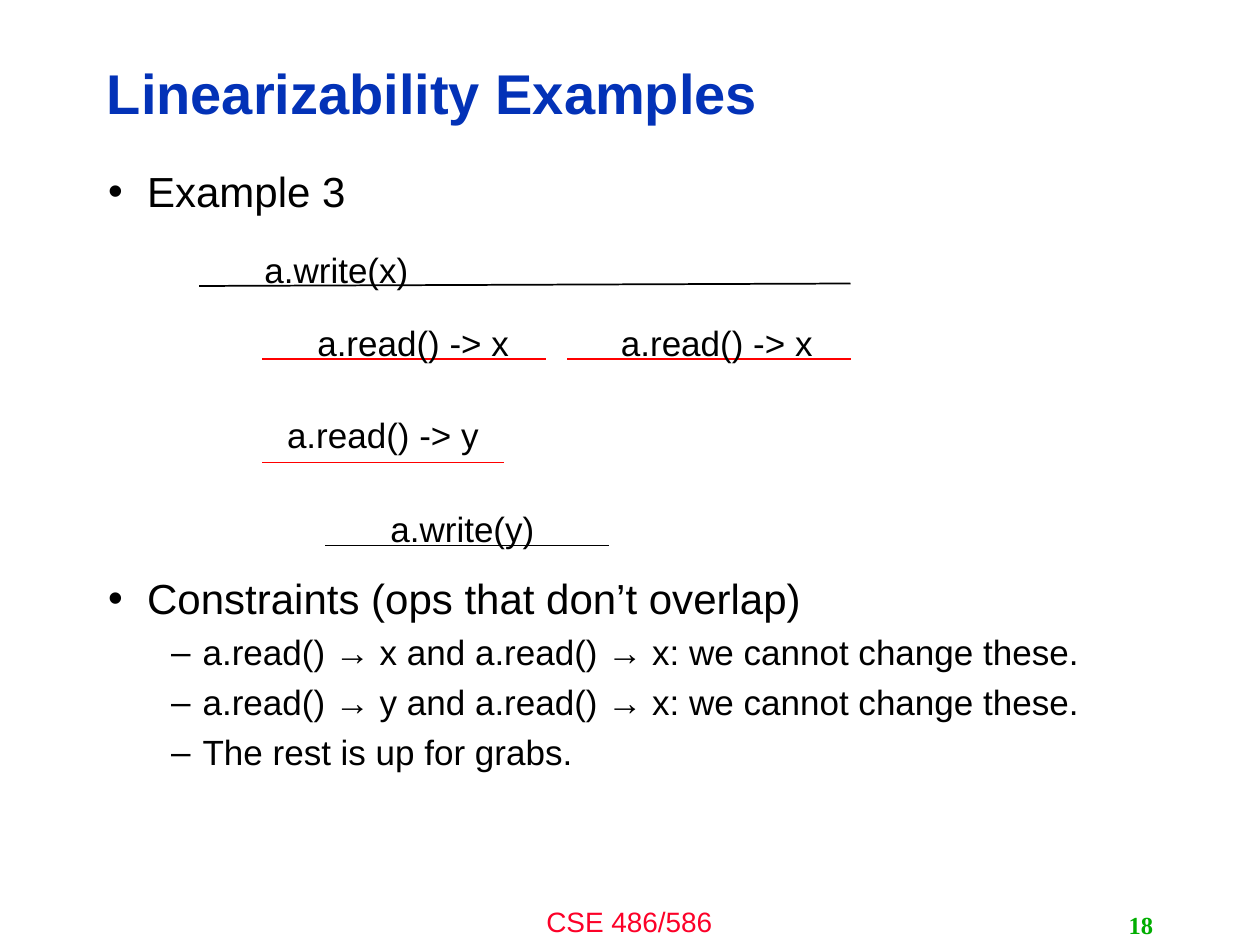
from lxml.etree import SubElement
from pptx import Presentation
from pptx.dml.color import RGBColor
from pptx.enum.shapes import MSO_CONNECTOR
from pptx.enum.text import MSO_ANCHOR, PP_ALIGN
from pptx.oxml.ns import qn
from pptx.util import Emu, Pt

EMU_PER_PX = 9144  # 100 px to the inch
BLACK = RGBColor(0x00, 0x00, 0x00)
RED = RGBColor(0xFF, 0x00, 0x00)
TITLE_BLUE = RGBColor(0x03, 0x32, 0xB7)
FOOTER_RED = RGBColor(0xFC, 0x01, 0x28)
NUMBER_GREEN = RGBColor(0x00, 0xAE, 0x00)


def px(length):
    return Emu(length * EMU_PER_PX)


def write(paragraph, text, size=20, color=BLACK, bold=False, font="Arial",
          align=PP_ALIGN.LEFT, line_spacing=None, space_before=0):
    run = paragraph.add_run()
    run.text = text
    run.font.name = font
    run.font.size = Pt(size)
    run.font.bold = bold
    run.font.color.rgb = color
    paragraph.alignment = align
    paragraph.space_before = Pt(space_before)
    if line_spacing:
        paragraph.line_spacing = line_spacing


def set_bullet(paragraph, mark, left, hanging):
    properties = paragraph._p.get_or_add_pPr()
    properties.set("marL", str(px(left)))
    properties.set("indent", str(px(-hanging)))
    SubElement(properties, qn("a:buFont"), typeface="Arial")
    SubElement(properties, qn("a:buChar"), char=mark)


class SlideBuilder:
    def __init__(self, slide):
        self.slide = slide

    def frame(self, left, top, width, height, anchor=MSO_ANCHOR.TOP, wrap=True):
        box = self.slide.shapes.add_textbox(px(left), px(top), px(width), px(height))
        frame = box.text_frame
        frame.word_wrap = wrap
        frame.vertical_anchor = anchor
        return frame

    def label(self, text, left, top, width, height,
              anchor=MSO_ANCHOR.TOP, wrap=True, **style):
        frame = self.frame(left, top, width, height, anchor, wrap)
        write(frame.paragraphs[0], text, **style)

    def bullets(self, items, left, top, width, height):
        """Each item is (level, text, space before in points)."""
        frame = self.frame(left, top, width, height)
        levels = [("•", 31, 31, 24), ("–", 75, 25, 20)]
        for index, (level, text, gap) in enumerate(items):
            paragraph = frame.add_paragraph() if index else frame.paragraphs[0]
            mark, indent, hanging, size = levels[level]
            paragraph.level = level
            write(paragraph, text, size=size, line_spacing=0.9, space_before=gap)
            set_bullet(paragraph, mark, indent, hanging)

    def line(self, start, end, color):
        line = self.slide.shapes.add_connector(
            MSO_CONNECTOR.STRAIGHT, *map(px, start + end))
        line.line.color.rgb = color
        line.line.width = Pt(1)
        SubElement(line._element.spPr, qn("a:effectLst"))

    def operation(self, text, text_at, start, end, color):
        """An operation's name over the line that spans its duration."""
        self.line(start, end, color)
        width = 174 if "read" in text else 136
        self.label(text, *text_at, width, 44, wrap=False)


def main():
    presentation = Presentation()
    presentation.slide_width = px(1000)
    presentation.slide_height = px(750)
    builder = SlideBuilder(
        presentation.slides.add_slide(presentation.slide_layouts[6]))

    builder.label("CSE 486/586", 333, 713, 333, 37, size=16,
                  color=FOOTER_RED, align=PP_ALIGN.CENTER)
    builder.label("Linearizability Examples", 75, 36, 798, 81,
                  anchor=MSO_ANCHOR.MIDDLE, size=32, color=TITLE_BLUE,
                  bold=True, line_spacing=0.9)
    # The gap before the constraints leaves room for the timeline.
    builder.bullets([
        (0, "Example 3", 0),
        (0, "Constraints (ops that don’t overlap)", 206.6),
        (1, "a.read() → x and a.read() → x: we cannot change these.", 6.9),
        (1, "a.read() → y and a.read() → x: we cannot change these.", 6.9),
        (1, "The rest is up for grabs.", 6.9),
    ], 76, 131, 840, 539)
    builder.label("18", 717, 718, 208, 32, anchor=MSO_ANCHOR.MIDDLE, size=14,
                  color=NUMBER_GREEN, bold=True, font="Times New Roman",
                  align=PP_ALIGN.RIGHT)

    operations = [
        ("a.write(x)", (200, 192), (158, 227), (675, 225), BLACK),
        ("a.read() -> x", (242, 250), (208, 285), (433, 285), RED),
        ("a.read() -> x", (483, 250), (450, 285), (675, 285), RED),
        ("a.read() -> y", (218, 323), (208, 367), (400, 367), RED),
        ("a.write(y)", (300, 398), (258, 433), (483, 433), BLACK),
    ]
    for operation in operations:
        builder.operation(*operation)

    presentation.save("out.pptx")


if __name__ == "__main__":
    main()
